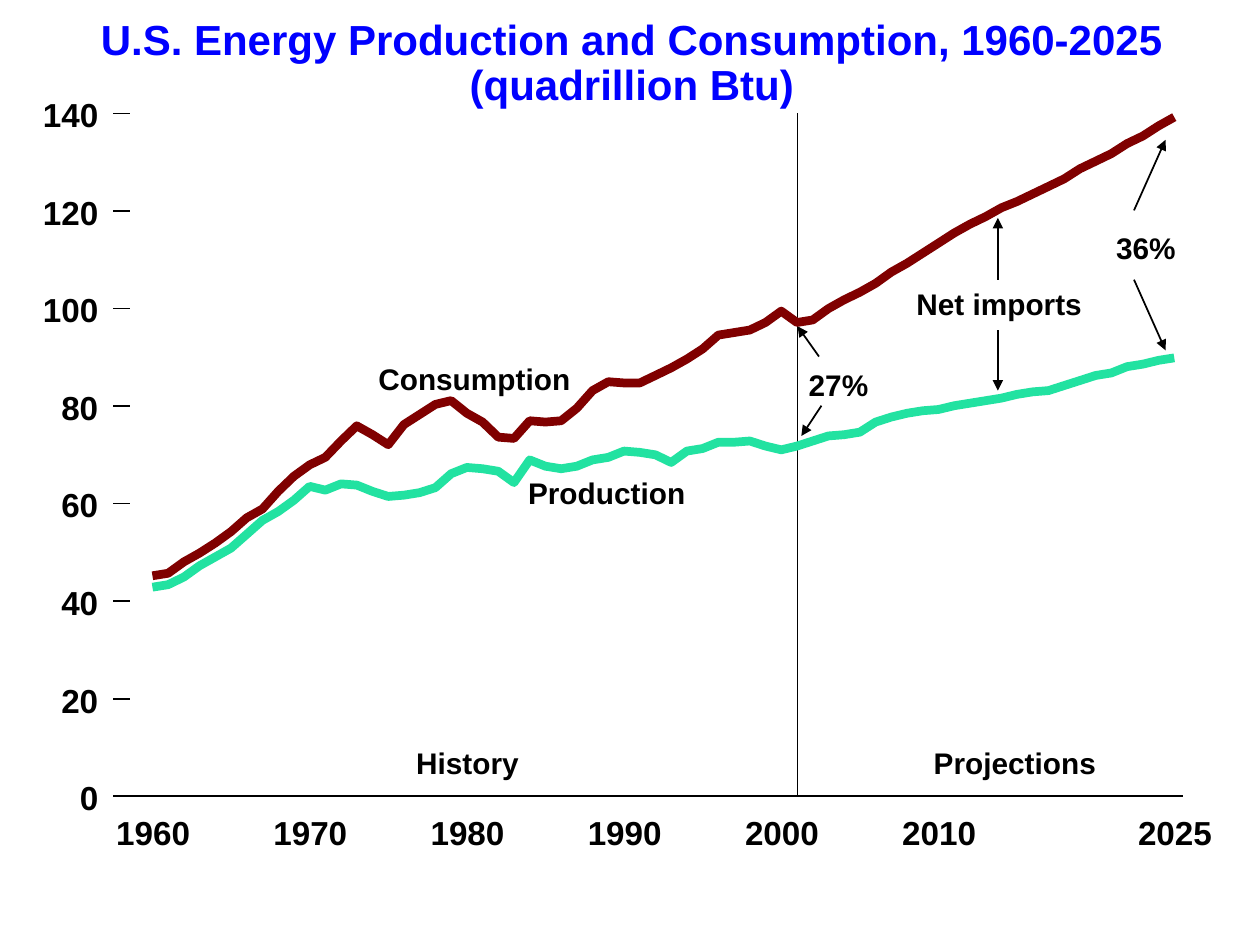
from pptx import Presentation
from pptx.dml.color import RGBColor
from pptx.enum.shapes import MSO_CONNECTOR
from pptx.enum.text import MSO_AUTO_SIZE, PP_ALIGN
from pptx.oxml.ns import qn
from pptx.util import Inches, Pt
from lxml import etree

STRAIGHT = MSO_CONNECTOR.STRAIGHT
FIT = MSO_AUTO_SIZE.SHAPE_TO_FIT_TEXT
CENTER, RIGHT = PP_ALIGN.CENTER, PP_ALIGN.RIGHT
BLACK = RGBColor(0x00, 0x00, 0x00)
BLUE = RGBColor(0x00, 0x00, 0xFF)
GREEN = RGBColor(0x22, 0xE2, 0xA1)
MAROON = RGBColor(0x80, 0x00, 0x00)

prs = Presentation()
prs.slide_width, prs.slide_height = Inches(10), Inches(7.5)
slide = prs.slides.add_slide(prs.slide_layouts[6])
shapes = slide.shapes


def add_text(text, left, top, width, height, size, color=BLACK, align=CENTER):
    box = shapes.add_textbox(Inches(left), Inches(top), Inches(width), Inches(height))
    frame = box.text_frame
    frame.margin_left = frame.margin_right = frame.margin_top = frame.margin_bottom = 0
    frame.word_wrap = False
    frame.auto_size = FIT
    frame.text = text
    for para in frame.paragraphs:
        para.alignment = align
        font = para.runs[0].font
        font.name, font.size, font.bold = "Arial", Pt(size), True
        font.color.rgb = color
    return frame


def add_line(x1, y1, x2, y2, weight=1, arrow=False):
    line = shapes.add_connector(STRAIGHT, Inches(x1), Inches(y1), Inches(x2), Inches(y2))
    line.line.color.rgb = BLACK
    line.line.width = Pt(weight)
    props = line._element.spPr
    if arrow:
        etree.SubElement(props.find(qn("a:ln")), qn("a:tailEnd"), type="triangle")
    etree.SubElement(props, qn("a:effectLst"))


# Title
title = add_text("U.S. Energy Production and Consumption, 1960-2025\n(quadrillion Btu)",
                 0.8, 0.15, 8.43, 0.72, 24, BLUE)
for para in title.paragraphs:
    para.line_spacing = 0.9

# Divider between history and projections
add_line(6.33, 0.9, 6.33, 6.32)

# Curves: one height on the slide for each year from 1960 to 2025
START, STEP = 1.21, 8.11 / 65
production = [
    4.66, 4.64, 4.58, 4.49, 4.42, 4.35, 4.24, 4.13, 4.06, 3.97, 3.86,
    3.89, 3.84, 3.85, 3.9, 3.94, 3.93, 3.91, 3.87, 3.76, 3.71, 3.72,
    3.74, 3.83, 3.65, 3.7, 3.72, 3.7, 3.65, 3.63, 3.58, 3.59, 3.61,
    3.67, 3.58, 3.56, 3.51, 3.51, 3.5, 3.54, 3.57, 3.54, 3.5, 3.46,
    3.45, 3.43, 3.35, 3.31, 3.28, 3.26, 3.25, 3.22, 3.2, 3.18, 3.16,
    3.13, 3.11, 3.1, 3.06, 3.02, 2.98, 2.96, 2.91, 2.89, 2.86, 2.84]
consumption = [
    4.57, 4.55, 4.46, 4.39, 4.31, 4.22, 4.11, 4.04, 3.9, 3.78, 3.69,
    3.63, 3.5, 3.38, 3.45, 3.53, 3.37, 3.29, 3.21, 3.18, 3.28, 3.35,
    3.47, 3.48, 3.34, 3.35, 3.34, 3.24, 3.1, 3.03, 3.04, 3.04, 2.98,
    2.92, 2.85, 2.77, 2.66, 2.64, 2.62, 2.56, 2.47, 2.56, 2.54, 2.45,
    2.38, 2.32, 2.25, 2.16, 2.09, 2.01, 1.93, 1.85, 1.78, 1.72, 1.65,
    1.6, 1.54, 1.48, 1.42, 1.34, 1.28, 1.22, 1.14, 1.08, 1, 0.93]
for heights, color in ((production, GREEN), (consumption, MAROON)):
    points = [(Inches(START + i * STEP), Inches(y)) for i, y in enumerate(heights)]
    pen = shapes.build_freeform(*points[0])
    pen.add_line_segments(points[1:], close=False)
    curve = pen.convert_to_shape()
    curve.shadow.inherit = False
    curve.fill.background()
    curve.line.color.rgb = color
    curve.line.width = Pt(5)

# Value axis: ticks and labels
for value in range(0, 141, 20):
    y = 6.32 - value * 5.42 / 140
    add_line(0.9, y, 1.03, y)
    width = 0.15 * len(str(value))
    add_text(str(value), 0.78 - width, y - 0.15, width, 0.32, 19, align=RIGHT)

# Year axis
add_line(1.03, 6.32, 9.39, 6.32)
for year in (1960, 1970, 1980, 1990, 2000, 2010, 2025):
    x = START + (year - 1960) * STEP
    add_text(str(year), x - 0.29, 6.45, 0.59, 0.32, 19)

# Labels inside the plot
for text, left, top, width in (
        ("History", 3.3, 5.91, 0.82),
        ("Projections", 7.41, 5.91, 1.29),
        ("Production", 4.19, 3.77, 1.25),
        ("Consumption", 3, 2.86, 1.53),
        ("27%", 6.38, 2.91, 0.55),
        ("36%", 8.82, 1.82, 0.55),
        ("Net imports", 7.27, 2.27, 1.32)):
    add_text(text, left, top, width, 0.28, 17)

# Arrows from the labels to the curves
for x1, y1, x2, y2, weight in (
        (6.5, 2.83, 6.33, 2.59, 1),
        (6.52, 3.22, 6.36, 3.46, 1),
        (9, 2.22, 9.25, 2.78, 1),
        (9, 1.67, 9.25, 1.11, 1),
        (7.92, 2.22, 7.92, 1.73, 0.75),
        (7.92, 2.62, 7.92, 3.1, 0.75)):
    add_line(x1, y1, x2, y2, weight, arrow=True)

prs.save("out.pptx")
